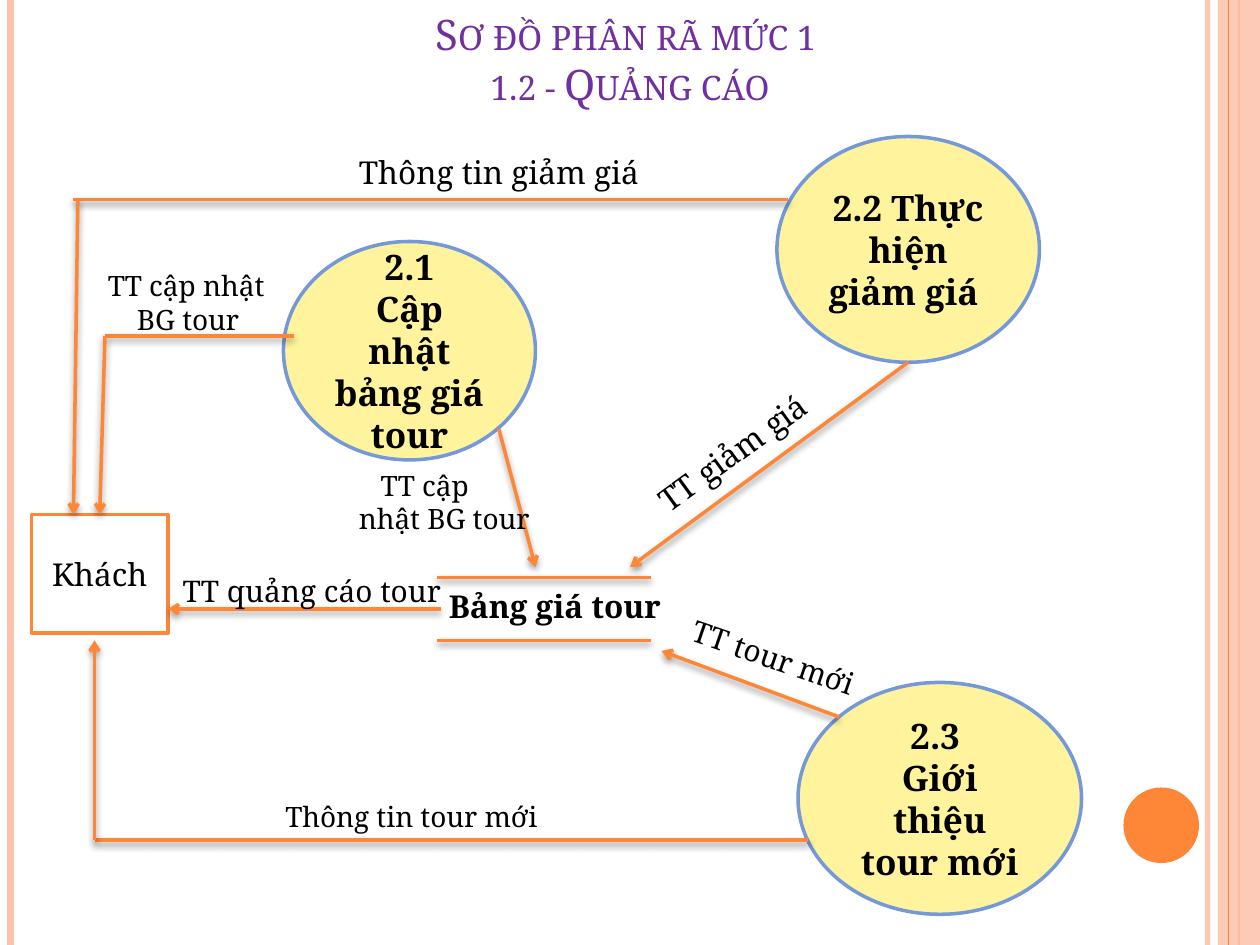
from lxml.etree import SubElement
from pptx import Presentation
from pptx.dml.color import RGBColor
from pptx.enum.shapes import MSO_CONNECTOR, MSO_SHAPE
from pptx.enum.text import MSO_ANCHOR, PP_ALIGN
from pptx.oxml.ns import qn
from pptx.util import Pt

ORANGE = RGBColor(0xFE, 0x86, 0x37)
PEACH = RGBColor(0xFE, 0xC3, 0xAE)
YELLOW = RGBColor(0xFF, 0xF3, 0x9D)
BLUE = RGBColor(0x75, 0x98, 0xD9)
PURPLE = RGBColor(0x70, 0x30, 0xA0)
BLACK = RGBColor(0, 0, 0)
WHITE = RGBColor(0xFF, 0xFF, 0xFF)


class Diagram:
    font = "Noto Serif"
    line_width = 2

    def __init__(self, slide):
        self.shapes = slide.shapes

    def set_alpha(self, element, percent):
        color = next(element.iter(qn("a:srgbClr")))
        SubElement(color, qn("a:alpha"), val=str(percent * 1000))

    def set_text(self, frame, text, size, color=BLACK, bold=False, align=PP_ALIGN.CENTER):
        frame.word_wrap = True
        frame.text = text
        for paragraph in frame.paragraphs:
            paragraph.alignment = align
            for run in paragraph.runs:
                run.font.name = self.font
                run.font.size = Pt(size)
                run.font.bold = bold
                run.font.color.rgb = color

    def title(self, text, left, top, width, height, size):
        frame = self.shapes.add_textbox(Pt(left), Pt(top), Pt(width), Pt(height)).text_frame
        self.set_text(frame, text, size, PURPLE)
        frame.vertical_anchor = MSO_ANCHOR.BOTTOM
        for run in frame.paragraphs[0].runs:
            run.font._element.set("cap", "small")

    def shape(self, kind, left, top, width, height, fill, outline=None):
        shape = self.shapes.add_shape(kind, Pt(left), Pt(top), Pt(width), Pt(height))
        shape.shadow.inherit = False
        shape.fill.solid()
        shape.fill.fore_color.rgb = fill
        if outline is None:
            shape.line.fill.background()
        else:
            shape.line.color.rgb = outline
            shape.line.width = Pt(self.line_width)
        return shape

    def process(self, text, left, top, width, height):
        ellipse = self.shape(MSO_SHAPE.OVAL, left, top, width, height, YELLOW, BLUE)
        self.set_text(ellipse.text_frame, text, 20, bold=True)

    def entity(self, text, left, top, width, height):
        box = self.shape(MSO_SHAPE.RECTANGLE, left, top, width, height, WHITE, ORANGE)
        self.set_text(box.text_frame, text, 18)
        return box

    def line(self, start, end, color=ORANGE, width=line_width):
        line = self.shapes.add_connector(MSO_CONNECTOR.STRAIGHT, *map(Pt, start + end))
        line.line.color.rgb = color
        line.line.width = Pt(width)
        SubElement(line._element.spPr, qn("a:effectLst"))
        return line

    def flow(self, start, end, arrow=True):
        line = self.line(start, end)
        properties = line._element.spPr
        if arrow:
            SubElement(properties.find(qn("a:ln")), qn("a:tailEnd"), type="arrow")
        shadow = SubElement(properties.find(qn("a:effectLst")), qn("a:outerShdw"),
                            blurRad=str(Pt(4)), dist=str(Pt(2)), dir="5400000", rotWithShape="0")
        SubElement(shadow, qn("a:srgbClr"), val=str(BLACK))
        self.set_alpha(shadow, 40)
        return line

    def label(self, text, left, top, width, height, size, indents=(0,), rotation=0, bold=False):
        box = self.shapes.add_textbox(Pt(left), Pt(top), Pt(width), Pt(height))
        box.rotation = rotation
        self.set_text(box.text_frame, text, size, bold=bold, align=PP_ALIGN.LEFT)
        for paragraph, indent in zip(box.text_frame.paragraphs, indents):
            paragraph._p.get_or_add_pPr().set("marL", str(Pt(indent)))


def main():
    presentation = Presentation()
    presentation.slide_width, presentation.slide_height = Pt(720), Pt(540)
    diagram = Diagram(presentation.slides.add_slide(presentation.slide_layouts[6]))

    # Side stripes and corner dot
    inner_stripe = diagram.line((690, 0), (690, 540), PEACH, 3)
    diagram.set_alpha(inner_stripe._element.spPr, 93)
    diagram.line((6, 0), (6, 540), PEACH, 4.5)
    diagram.line((708, 0), (708, 540), ORANGE, 1.5)
    band = diagram.shape(MSO_SHAPE.RECTANGLE, 696, 0, 24, 540, PEACH)
    diagram.set_alpha(band._element.spPr, 87)
    diagram.line((702, 0), (702, 540), ORANGE, 0.75)
    diagram.shape(MSO_SHAPE.OVAL, 642, 450, 43.2, 43.2, ORANGE)

    diagram.title("Sơ đồ phân rã mức 1 \v1.2 - Quảng cáo", 12, 12, 696, 54, 24)

    # Processes and the customer
    diagram.process("2.1\nCập nhật bảng giá tour", 162, 138, 144, 124.8)
    diagram.process("2.3 \nGiới thiệu tour mới", 456, 390, 162, 132.5)
    diagram.process("2.2 Thực hiện giảm giá ", 444, 78, 150, 129)
    customer = diagram.entity("Khách", 18, 294, 78, 67.8)

    # Price list data store
    for y in (330, 366):
        diagram.flow((250, y), (372, y), arrow=False)
    diagram.label("Bảng giá tour", 240, 332, 162.7, 29, 18, [9.4], bold=True)

    # Flows into the price list, and from it to the customer
    diagram.flow((285, 245), (306, 324))
    diagram.flow((519, 207), (360, 324))
    diagram.flow((479.5, 409.7), (378, 372))
    diagram.flow((252, 348), (96, 348))

    # Bent flows from the processes to the customer
    diagram.flow((462, 480), (54, 480), arrow=False)
    diagram.flow((54, 480), (54, 366))
    diagram.flow((168, 192), (60, 192), arrow=False)
    diagram.flow((60, 192), (57, 294)).end_connect(customer, 0)
    diagram.flow((450, 114), (42, 114), arrow=False)
    diagram.flow((44.5, 114), (42, 294))

    # Flow labels
    diagram.label("Thông tin giảm giá", 198, 84, 186, 29, 18)
    diagram.label("TT cập nhật\nBG tour", 42, 150, 192, 67.7, 16, [12.5, 29.1])
    diagram.label("TT cập\nnhật BG tour", 198, 264, 114, 65.5, 16, [12.5, 0])
    diagram.label("TT giảm giá", 357, 229.7, 163.4, 29, 18, rotation=324.1)
    diagram.label("TT quảng cáo tour", 84, 324, 198, 28, 17, [13.3])
    diagram.label("TT tour mới", 360, 361.4, 161.3, 28, 17, [26.5], rotation=19)
    diagram.label("Thông tin tour mới", 156, 453.6, 174, 26.6, 16)

    presentation.save("out.pptx")


if __name__ == "__main__":
    main()
